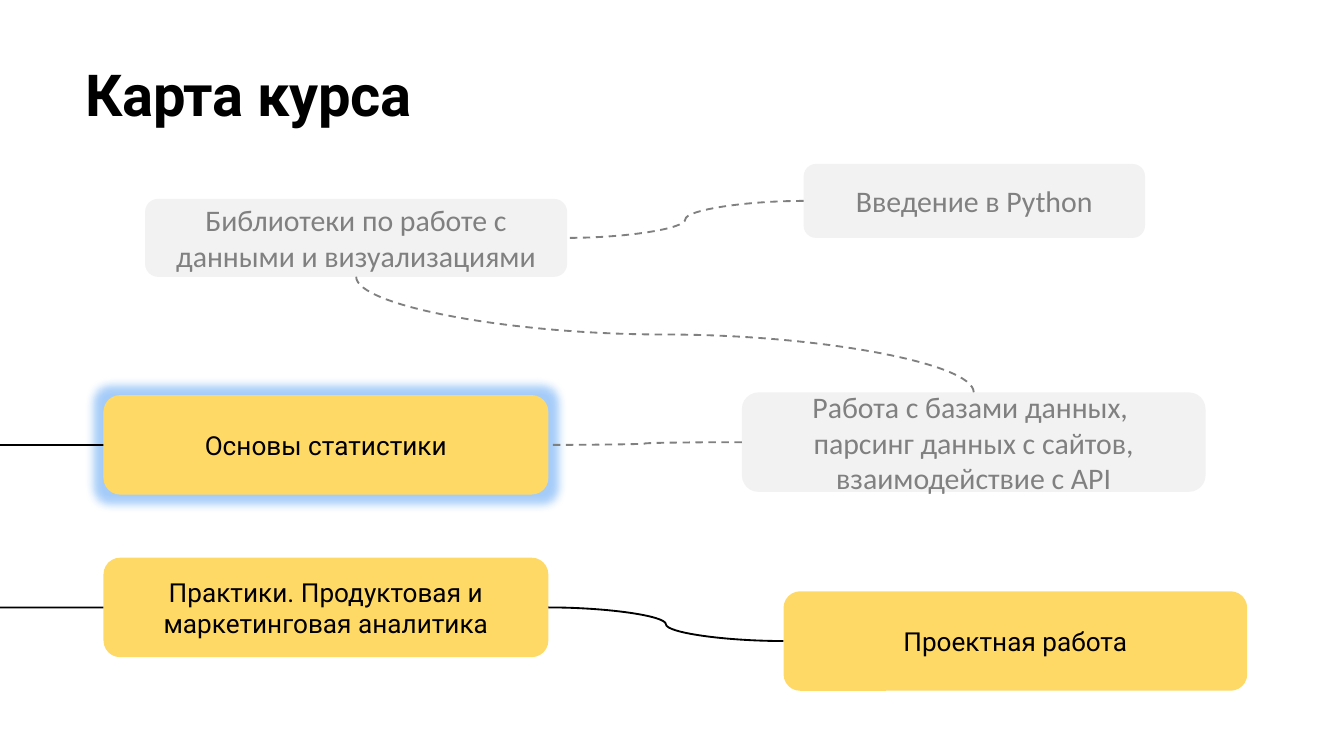
"""Build the course map slide."""
import lxml.etree
import pptx
import pptx.dml.color
import pptx.enum.dml
import pptx.enum.shapes
import pptx.enum.text
import pptx.oxml.ns
import pptx.util

Inches = pptx.util.Inches
qn = pptx.oxml.ns.qn


def color(value):
    return pptx.dml.color.RGBColor.from_string(value)


def child(parent, tag, **attributes):
    return lxml.etree.SubElement(parent, qn(tag), attributes)


deck = pptx.Presentation()
deck.slide_width = Inches(10)
deck.slide_height = Inches(10 * 9 / 16)
slide = deck.slides.add_slide(deck.slide_layouts[6])

heading = slide.shapes.add_textbox(Inches(0.64), Inches(0.42), Inches(6.8), Inches(0.54))
heading_frame = heading.text_frame
heading_frame.word_wrap = True
heading_frame.margin_left = heading_frame.margin_right = 0
heading_frame.margin_top = Inches(0.02)
heading_frame.margin_bottom = 0
for words, spacing in [("Карта ", "-30"), ("курса", "-10")]:
    run = heading_frame.paragraphs[0].add_run()
    run.text = words
    run.font.name = "Roboto"
    run.font.size = pptx.util.Pt(31)
    run.font.bold = True
    run.font.color.rgb = color("000000")
    run.font._element.set("spc", spacing)

past = ("F2F2F2", "Calibri", 16, "808080")
upcoming = ("FFD966", "Roboto", 14, "000000")
topics = [
    ("python", 5.98, 1.22, 2.54, 0.55, past, ["Введение в Python"]),
    ("libraries", 1.08, 1.48, 3.14, 0.58, past,
     ["Библиотеки по работе с данными и визуализациями"]),
    ("databases", 5.52, 2.92, 3.45, 0.74, past,
     ["Работа с базами данных, ", "парсинг данных с сайтов, взаимодействие с API"]),
    ("practice", 0.77, 4.15, 3.31, 0.74, upcoming,
     ["Практики. Продуктовая и маркетинговая аналитика"]),
    ("project", 5.83, 4.4, 3.45, 0.74, upcoming, ["Проектная работа"]),
    ("statistics", 0.77, 2.94, 3.31, 0.74, upcoming, ["Основы статистики"]),
]
boxes = {}
for topic, left, top, width, height, (fill, font, size, ink), lines in topics:
    box = slide.shapes.add_shape(
        pptx.enum.shapes.MSO_SHAPE.ROUNDED_RECTANGLE,
        Inches(left), Inches(top), Inches(width), Inches(height))
    box.shadow.inherit = False
    box.fill.solid()
    box.fill.fore_color.rgb = color(fill)
    box.line.fill.background()
    frame = box.text_frame
    frame.word_wrap = True
    frame.vertical_anchor = pptx.enum.text.MSO_ANCHOR.MIDDLE
    for index, line in enumerate(lines):
        paragraph = frame.add_paragraph() if index else frame.paragraphs[0]
        paragraph.alignment = pptx.enum.text.PP_ALIGN.CENTER
        run = paragraph.add_run()
        run.text = line
        run.font.name = font
        run.font.size = pptx.util.Pt(size)
        run.font.color.rgb = color(ink)
    boxes[topic] = box

effects = boxes["statistics"]._element.spPr.find(qn("a:effectLst"))
glow = child(effects, "a:glow", rad=str(Inches(0.14)))
glow_color = child(glow, "a:srgbClr", val="1E80F0")
child(glow_color, "a:alpha", val="40000")

top_side, left_side, bottom_side, right_side = range(4)
steps = [
    ("python", left_side, "libraries", right_side, "808080"),
    ("databases", top_side, "libraries", bottom_side, "808080"),
    ("databases", left_side, "statistics", right_side, "808080"),
    ("project", left_side, "practice", right_side, "000000"),
    ("statistics", left_side, "practice", left_side, "000000"),
]
for start, start_side, finish, finish_side, ink in steps:
    curve = slide.shapes.add_connector(pptx.enum.shapes.MSO_CONNECTOR.CURVE, 0, 0, 0, 0)
    curve.begin_connect(boxes[start], start_side)
    curve.end_connect(boxes[finish], finish_side)
    curve.line.color.rgb = color(ink)
    curve.line.width = pptx.util.Pt(1)
    if ink == "808080":
        curve.line.dash_style = pptx.enum.dml.MSO_LINE.DASH
    properties = curve._element.spPr
    child(properties, "a:effectLst")
    transform = properties.find(qn("a:xfrm"))
    if start_side == top_side:
        across, down = curve.width, curve.height
        curve.left += (across - down) // 2
        curve.top -= (across - down) // 2
        curve.width, curve.height = down, across
        transform.set("rot", "16200000")
        transform.set("flipH", "0")
        transform.set("flipV", "1")
    elif start_side == finish_side:
        curve.width = 1
        transform.set("rot", "10800000")
        transform.set("flipH", "0")
        transform.set("flipV", "1")
        guides = properties.find(qn("a:prstGeom")).find(qn("a:avLst"))
        child(guides, "a:gd", name="adj1", fmla="val 22860100000")

deck.save("out.pptx")
